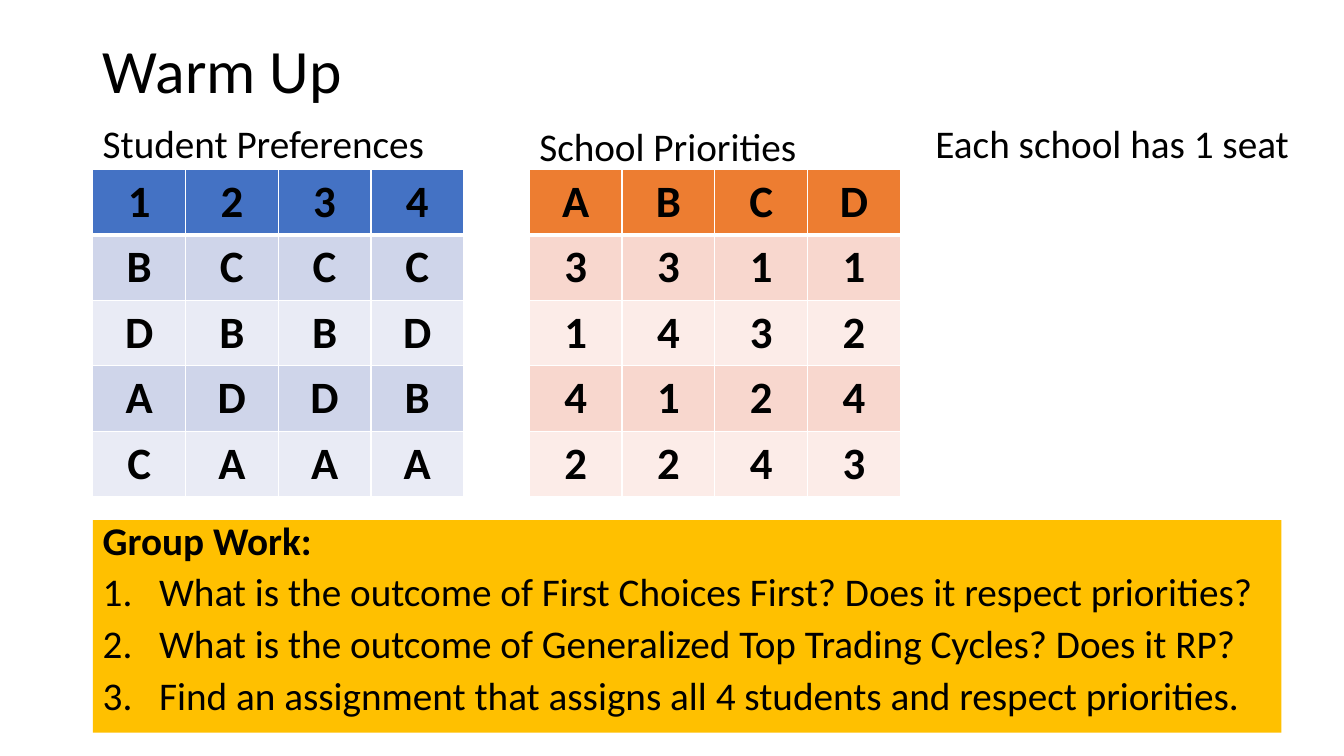
from lxml import etree
from pptx import Presentation
from pptx.dml.color import RGBColor
from pptx.enum.text import MSO_ANCHOR, PP_ALIGN
from pptx.oxml.ns import qn
from pptx.util import Inches, Pt

MIDDLE, CENTER, LEFT = MSO_ANCHOR.MIDDLE, PP_ALIGN.CENTER, PP_ALIGN.LEFT

# Content
TITLE = "Warm Up"
LABELS = [  # text, left, top, width, wrap
    ("Student Preferences", 0.92, 1.13, 3.42, False),
    ("School Priorities", 5.25, 1.16, 2.78, False),
    ("Each school has 1 seat", 9.18, 1.13, 3.82, True),
]
TABLES = [  # left, colour family, rows
    (0.92, "blue", ["1234", "BCCC", "DBBD", "ADDB", "CAAA"]),
    (5.25, "orange", ["ABCD", "3311", "1432", "4124", "2243"]),
]
TASK = "Group Work:"
STEPS = [
    "What is the outcome of First Choices First? Does it respect priorities?",
    "What is the outcome of Generalized Top Trading Cycles? Does it RP?",
    "Find an assignment that assigns all 4 students and respect priorities.",
]
COLORS = {
    "text": "000000", "line": "FFFFFF", "task": "FFC000",
    "blue": "4472C4", "blue odd": "CFD5EA", "blue even": "E9EBF5",
    "orange": "ED7D31", "orange odd": "F8D7CE", "orange even": "FCECE8",
}
TOP, COL, ROW = 1.68, 0.92, 0.65


def color(name):
    return RGBColor.from_string(COLORS[name])


def style(para, size, bold=False, align=LEFT):
    para.alignment = align
    font = para.font
    font.name, font.size, font.bold = "Calibri", Pt(size), bold
    font.color.rgb = color("text")


def add_box(left, top, width, height, wrap=True):
    box = slide.shapes.add_textbox(*map(Inches, (left, top, width, height)))
    box.text_frame.word_wrap = wrap
    return box


def add_borders(cell, row):
    props = cell._tc.get_or_add_tcPr()
    widths = {"L": 1, "R": 1, "T": 3 if row == 1 else 1, "B": 3 if row == 0 else 1}
    for side, width in widths.items():
        line = etree.SubElement(props, qn("a:ln" + side), w=str(Pt(width)))
        fill = etree.SubElement(line, qn("a:solidFill"))
        etree.SubElement(fill, qn("a:srgbClr"), val=COLORS["line"])


def add_grid(left, family, rows):
    size = len(rows[0]), len(rows)
    table = slide.shapes.add_table(
        size[1], size[0], Inches(left), Inches(TOP),
        Inches(COL * size[0]), Inches(ROW * size[1])).table
    for r, row in enumerate(rows):
        table.rows[r].height = Inches(ROW)
        shade = family if r == 0 else family + (" odd" if r % 2 else " even")
        for c, text in enumerate(row):
            cell = table.cell(r, c)
            cell.text = text
            style(cell.text_frame.paragraphs[0], 32, True, CENTER)
            add_borders(cell, r)
            cell.fill.solid()
            cell.fill.fore_color.rgb = color(shade)


deck = Presentation()
deck.slide_width, deck.slide_height = Inches(13.33), Inches(7.5)
slide = deck.slides.add_slide(deck.slide_layouts[5])

# Title
title = slide.shapes.title
title.left, title.top = Inches(0.92), Inches(0)
title.width, title.height = Inches(11.5), Inches(1.45)
title.text_frame.text = TITLE
title.text_frame.vertical_anchor = MIDDLE
head = title.text_frame.paragraphs[0]
head.line_spacing = 0.9
style(head, 44)

# Group work panel with numbered steps
panel = add_box(0.92, 5.16, 11.79, 2.11)
panel.fill.solid()
panel.fill.fore_color.rgb = color("task")
frame = panel.text_frame
frame.text = "\n".join([TASK] + STEPS)
for i, para in enumerate(frame.paragraphs):
    para.line_spacing = 0.8
    if i:
        para.space_before = Pt(10)
        props = para._p.get_or_add_pPr()
        props.set("marL", str(Inches(0.56)))
        props.set("indent", str(-Inches(0.56)))
        etree.SubElement(props, qn("a:buFont"), typeface="+mj-lt")
        etree.SubElement(props, qn("a:buAutoNum"), type="arabicPeriod")
    style(para, 28, i == 0)

# Preference and priority tables
for grid in TABLES:
    add_grid(*grid)

# Labels
for text, left, top, width, wrap in LABELS:
    label = add_box(left, top, width, 0.57, wrap)
    label.text_frame.text = text
    style(label.text_frame.paragraphs[0], 28)

deck.save("out.pptx")
